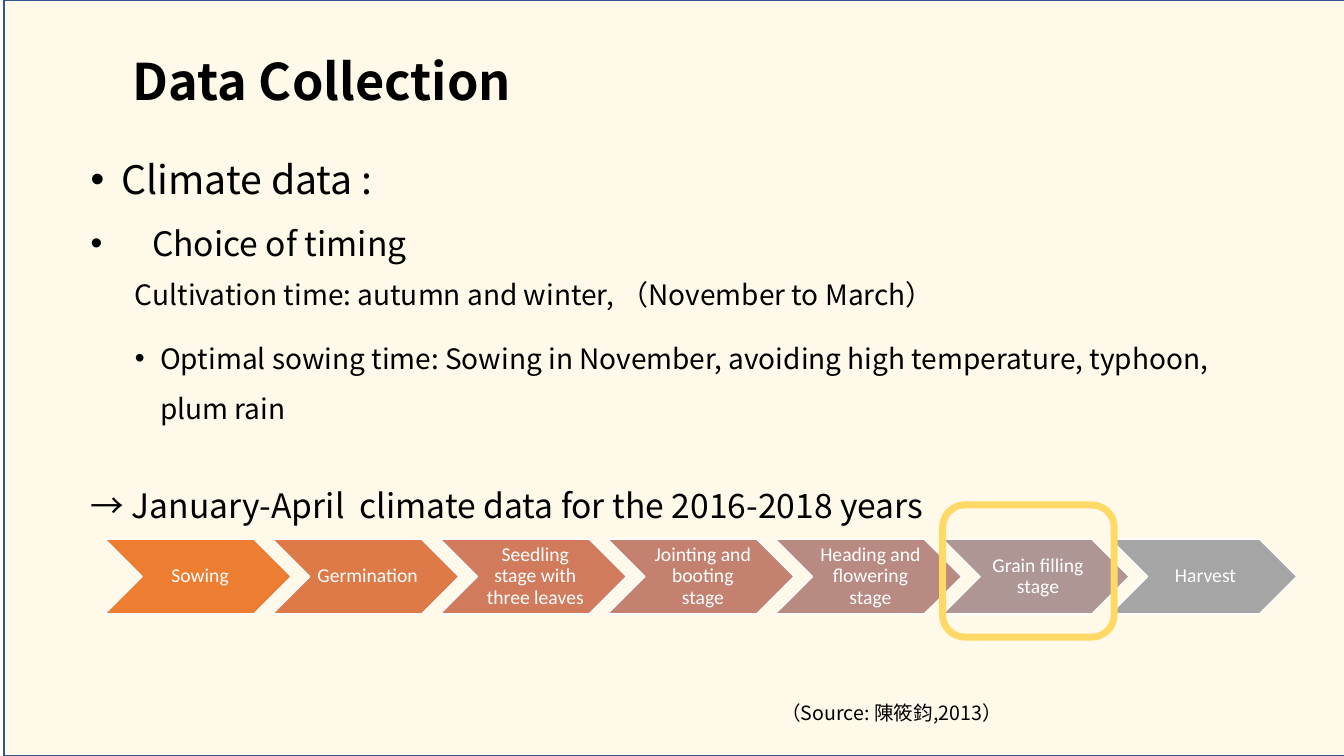
from pptx import Presentation
from pptx.dml.color import RGBColor
from pptx.enum.shapes import MSO_SHAPE as Shape
from pptx.enum.text import MSO_ANCHOR as Anchor, PP_ALIGN as Align
from pptx.oxml.ns import qn
from pptx.util import Inches, Pt
from lxml.etree import SubElement

WIDTH, HEIGHT = 13.33, 7.5


class Theme:
    text_font, step_font = "Noto Sans CJK SC", "Calibri"
    ink, white = "000000", "FFFFFF"
    cream, frame, highlight = "FFF2CC", "325491", "FFD966"
    cream_alpha = 41
    title, head, subhead, body, small = 36, 28, 24, 20, 14


TITLE = dict(text="Data Collection", size=Theme.title, bold=True, spacing=0.9)
CLIMATE = [
    dict(text="Climate data :", size=Theme.head, spacing=1.5, hang=(0.31, 0.31)),
    dict(text="Choice of timing", size=Theme.subhead, spacing=1.5, hang=(0.61, 0.61)),
    dict(text="→ January-April  climate data for the 2016-2018 years",
         size=Theme.subhead, spacing=1.5, before=144),
]
TIMING = [
    dict(text="Cultivation time: autumn and winter, （November to March）", size=Theme.body),
    dict(text="Optimal sowing time: Sowing in November, avoiding high temperature, "
              "typhoon, plum rain",
         size=Theme.body, spacing=1.5, before=10, hang=(0.25, 0.25)),
]
SOURCE = dict(text="（Source: 陳筱鈞,2013）", size=Theme.small)
STAGES = [
    ("Sowing", "ED7D31"),
    ("Germination", "DE7A47"),
    ("Seedling stage with three leaves", "D17B5C"),
    ("Jointing and booting stage", "C48170"),
    ("Heading and flowering stage", "B98A82"),
    ("Grain filling stage", "AE9694"),
    ("Harvest", "A5A5A5"),
]
STAGE_LEFT, STAGE_TOP, STAGE_PITCH = 1.04, 5.35, 1.662
STAGE_WIDTH, STAGE_HEIGHT = 1.85, 0.74


def apply(target, **values):
    for name, value in values.items():
        setattr(target, name, value)


def add_bullet(para, margin, hanging):
    props = para._p.get_or_add_pPr()
    props.set("marL", str(Inches(margin)))
    props.set("indent", str(-Inches(hanging)))
    SubElement(props, qn("a:buFont")).set("typeface", "Arial")
    SubElement(props, qn("a:buChar")).set("char", "•")


def write(para, text, size, font=Theme.text_font, color=Theme.ink, bold=False,
          spacing=1.0, before=0, hang=None, align=Align.LEFT):
    apply(para, line_spacing=spacing, space_before=Pt(before), alignment=align)
    if hang:
        add_bullet(para, *hang)
    span = para.add_run()
    span.text = text
    apply(span.font, name=font, size=Pt(size), bold=bold)
    span.font.color.rgb = RGBColor.from_string(color)
    SubElement(span._r.get_or_add_rPr(), qn("a:ea")).set("typeface", font)


def add_text(page, place, lines, top_inset=0.05):
    frame = page.shapes.add_textbox(*map(Inches, place)).text_frame
    apply(frame, word_wrap=True, margin_top=Inches(top_inset), vertical_anchor=Anchor.TOP)
    for index, line in enumerate(lines):
        write(frame.add_paragraph() if index else frame.paragraphs[0], **line)


def add_block(page, kind, place, fill, line, weight):
    block = page.shapes.add_shape(kind, *map(Inches, place))
    block.shadow.inherit = False
    if fill:
        block.fill.solid()
        block.fill.fore_color.rgb = RGBColor.from_string(fill)
    else:
        block.fill.background()
    block.line.color.rgb = RGBColor.from_string(line)
    block.line.width = Pt(weight)
    return block


def add_backdrop(page):
    backdrop = add_block(page, Shape.RECTANGLE, (0.04, 0, WIDTH, HEIGHT),
                         Theme.cream, Theme.frame, 1)
    color = backdrop._element.spPr.find(qn("a:solidFill")).find(qn("a:srgbClr"))
    SubElement(color, qn("a:alpha")).set("val", str(Theme.cream_alpha * 1000))


def add_stages(page):
    for index, (name, fill) in enumerate(STAGES):
        place = (STAGE_LEFT + index * STAGE_PITCH, STAGE_TOP, STAGE_WIDTH, STAGE_HEIGHT)
        chevron = add_block(page, Shape.CHEVRON, place, fill, Theme.white, 1)
        frame = chevron.text_frame
        apply(frame, word_wrap=True, vertical_anchor=Anchor.MIDDLE,
              margin_left=Inches(0.06), margin_right=Inches(0.02),
              margin_top=Inches(0.02), margin_bottom=Inches(0.02))
        write(frame.paragraphs[0], name, Theme.small, Theme.step_font, Theme.white,
              spacing=0.9, align=Align.CENTER)


def main():
    deck = Presentation()
    apply(deck, slide_width=Inches(WIDTH), slide_height=Inches(HEIGHT))
    page = deck.slides.add_slide(deck.slide_layouts[6])
    add_backdrop(page)
    add_text(page, (1.22, 0.37, 11.5, 1.45), [TITLE], top_inset=0.19)
    add_stages(page)
    add_text(page, (0.8, 1.26, 12.37, 4.58), CLIMATE)
    add_text(page, (1.24, 2.7, 11.5, 2.07), TIMING)
    add_block(page, Shape.ROUNDED_RECTANGLE, (9.35, 5.01, 1.7, 1.31),
              None, Theme.highlight, 5)
    add_text(page, (7.65, 6.9, 2.85, 0.34), [SOURCE])
    deck.save("out.pptx")


if __name__ == "__main__":
    main()
